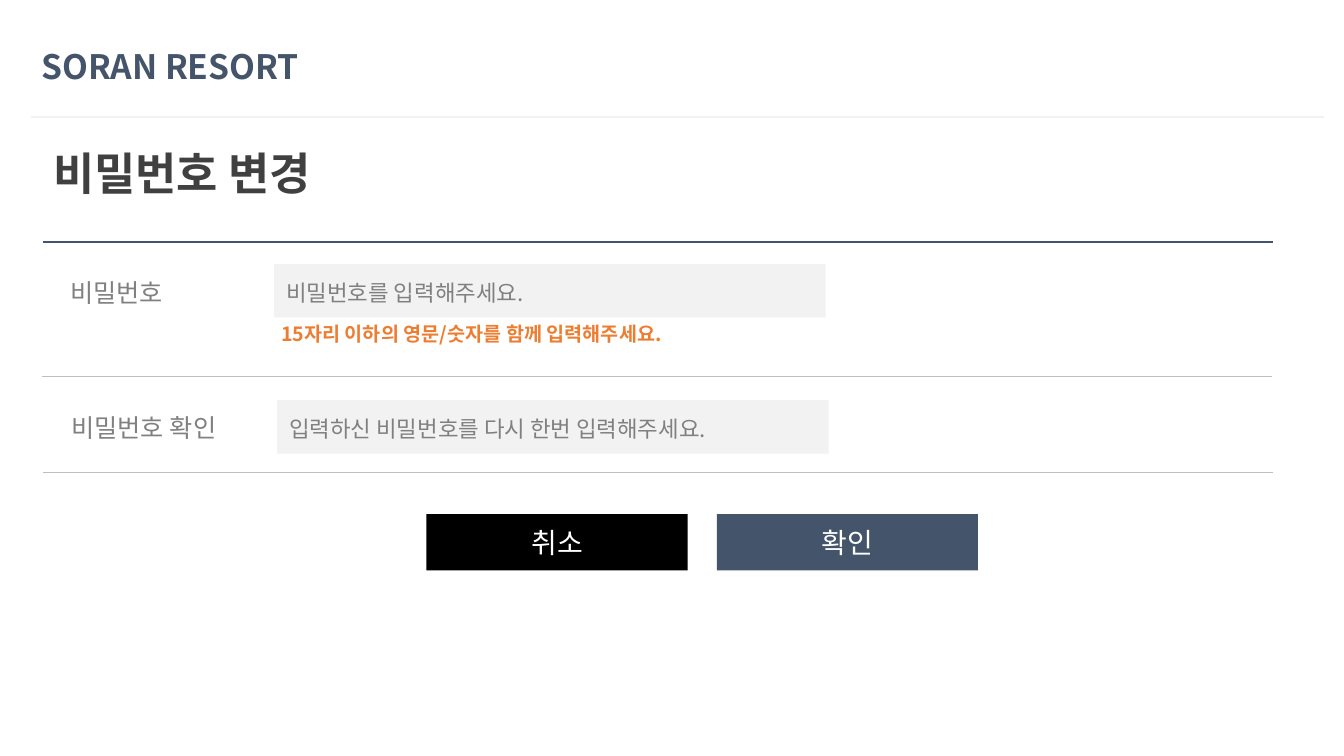
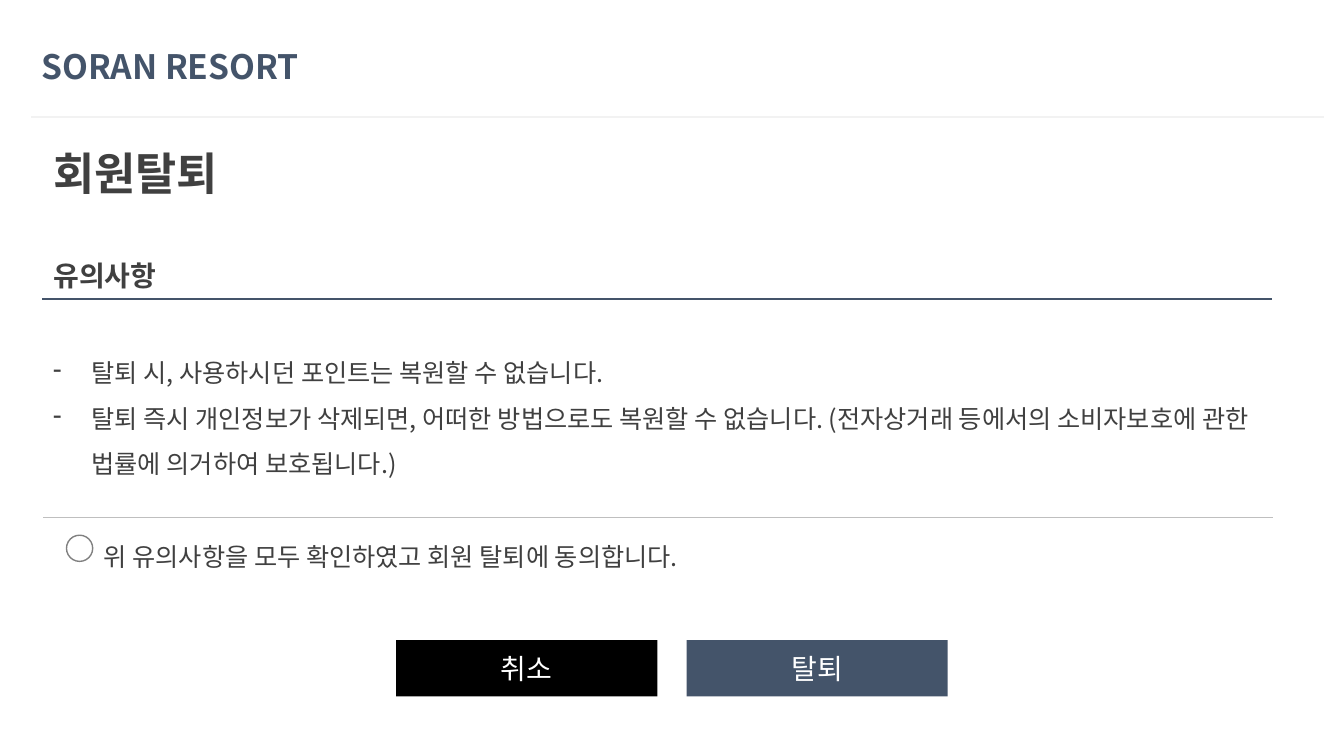
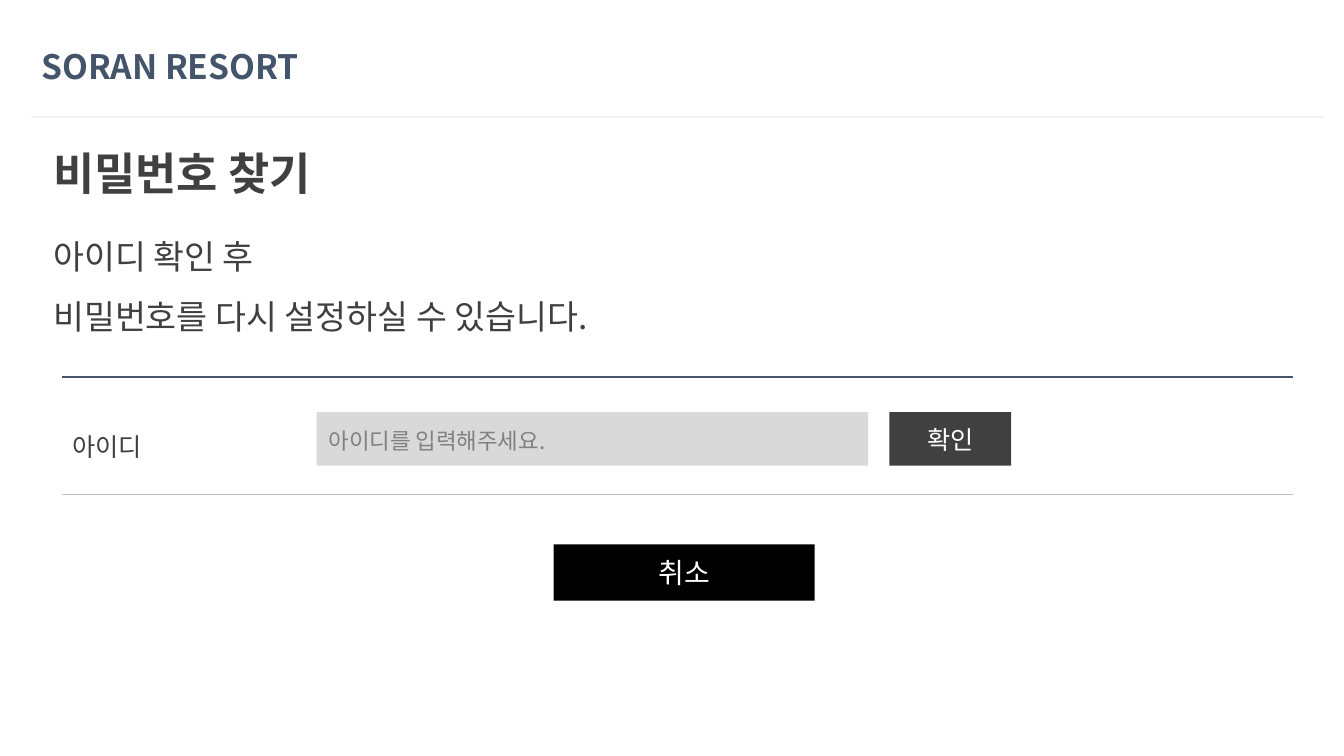
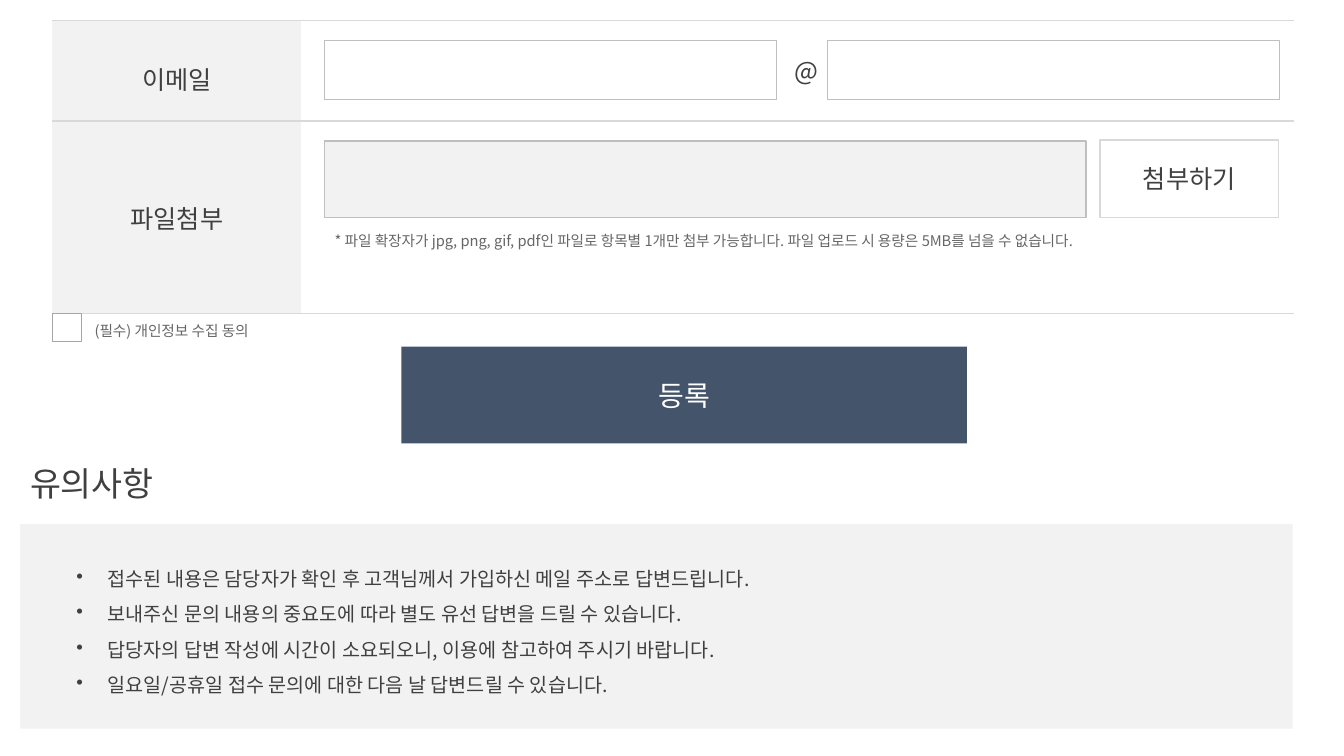
from lxml import etree
from pptx import Presentation
from pptx.dml.color import RGBColor
from pptx.enum.shapes import MSO_CONNECTOR, MSO_SHAPE
from pptx.enum.text import MSO_ANCHOR, MSO_AUTO_SIZE, PP_ALIGN
from pptx.oxml.ns import qn
from pptx.util import Inches, Pt

STRAIGHT = MSO_CONNECTOR.STRAIGHT
RECTANGLE = MSO_SHAPE.RECTANGLE
OVAL = MSO_SHAPE.OVAL
MIDDLE = MSO_ANCHOR.MIDDLE
FIT_SHAPE = MSO_AUTO_SIZE.SHAPE_TO_FIT_TEXT
CENTER = PP_ALIGN.CENTER

FONT = "Noto Sans CJK KR"
BRAND = "SORAN RESORT"
COLORS = {
    "navy": "44546A",
    "black": "000000",
    "white": "FFFFFF",
    "dark": "404040",
    "note": "666666",
    "gray": "808080",
    "check": "A6A6A6",
    "border": "BFBFBF",
    "pale": "D9D9D9",
    "light": "F2F2F2",
    "orange": "ED7D31",
}
FIELD_SIZE = (5.47, 0.53)
BUTTON_SIZE = (2.59, 0.56)
BUTTON_GAP = 0.29
RULE_WIDTH = 12.2


def color(name):
    """Return the named colour."""
    return RGBColor.from_string(COLORS[name])


def add_run(paragraph, text, size, ink, bold=False):
    """Add one styled run for Latin and Korean text."""
    run = paragraph.add_run()
    run.text = text
    run.font.size = Pt(size)
    run.font.bold = bold
    run.font.color.rgb = color(ink)
    run.font.name = FONT
    east_asian = etree.SubElement(run._r.get_or_add_rPr(), qn("a:ea"))
    east_asian.set("typeface", FONT)


def add_bullet(paragraph, character, indent):
    """Give a paragraph a hanging bullet."""
    properties = paragraph._p.get_or_add_pPr()
    properties.set("marL", str(Inches(indent)))
    properties.set("indent", str(-Inches(indent)))
    etree.SubElement(properties, qn("a:buChar")).set("char", character)


def add_text(slide, box, lines, size, ink="dark", bold=False, spacing=None, bullet=None, indent=0):
    """Place a text box with one paragraph per line."""
    frame = slide.shapes.add_textbox(*map(Inches, box)).text_frame
    frame.word_wrap = True
    frame.auto_size = FIT_SHAPE
    for index, line in enumerate(lines):
        paragraph = frame.add_paragraph() if index else frame.paragraphs[0]
        if spacing:
            paragraph.line_spacing = spacing
        if bullet:
            add_bullet(paragraph, bullet, indent)
        add_run(paragraph, line, size, ink, bold)
    return frame


def add_box(slide, box, fill, line=None, text=None, size=20, ink="white", kind=RECTANGLE):
    """Place a filled shape with an optional outline and centred label."""
    shape = slide.shapes.add_shape(kind, *map(Inches, box))
    shape.shadow.inherit = False
    shape.fill.solid()
    shape.fill.fore_color.rgb = color(fill)
    if line:
        shape.line.color.rgb = color(line)
        shape.line.width = Pt(1)
    else:
        shape.line.fill.background()
    if text:
        shape.text_frame.vertical_anchor = MIDDLE
        paragraph = shape.text_frame.paragraphs[0]
        paragraph.alignment = CENTER
        add_run(paragraph, text, size, ink)


def add_rule(slide, left, top, width=RULE_WIDTH, ink="border", weight=0.75):
    """Draw a horizontal line."""
    ends = map(Inches, (left, top, left + width, top))
    connector = slide.shapes.add_connector(STRAIGHT, *ends)
    connector.line.color.rgb = color(ink)
    connector.line.width = Pt(weight)
    etree.SubElement(connector._element.spPr, qn("a:effectLst"))


def add_heading_rule(slide, left, top):
    """Draw the strong line that opens a form."""
    add_rule(slide, left, top, ink="navy", weight=1.5)


def add_header(slide, title):
    """Place the brand, the header line and the page title."""
    add_text(slide, (0.31, 0.41, 2.85, 0.5), [BRAND], 24, "navy", True)
    add_rule(slide, 0.31, 1.16, 12.82, "light", 1.5)
    add_text(slide, (0.43, 1.4, 3.91, 0.64), [title], 32, bold=True)


def add_field(slide, left, top, prompt, fill="light"):
    """Place an input field with its prompt."""
    width, height = FIELD_SIZE
    add_box(slide, (left, top, width, height), fill)
    add_text(slide, (left + 0.02, top + 0.1, 5.01, 0.37), [prompt], 16, "gray")


def add_buttons(slide, left, top, buttons):
    """Place a row of equally spaced buttons."""
    width, height = BUTTON_SIZE
    for index, (label, fill) in enumerate(buttons):
        place = left + index * (width + BUTTON_GAP)
        add_box(slide, (place, top, width, height), fill, text=label)


def set_borders(cell):
    """Rule a cell above and below only."""
    properties = cell._tc.get_or_add_tcPr()
    for index, side in enumerate(("L", "R", "T", "B")):
        border = etree.Element(qn(f"a:ln{side}"), w=str(Pt(1)))
        if side in "TB":
            fill = etree.SubElement(border, qn("a:solidFill"))
            etree.SubElement(fill, qn("a:srgbClr")).set("val", COLORS["pale"])
        else:
            etree.SubElement(border, qn("a:noFill"))
        properties.insert(index, border)


def add_form_row(slide, top, height, label, margin_top=0.05):
    """Place a one-row table with a label cell and an empty cell."""
    widths = (2.47, 9.84)
    box = map(Inches, (0.52, top, sum(widths), height))
    table = slide.shapes.add_table(1, len(widths), *box).table
    table.first_row = False
    table.horz_banding = False
    for index, (width, fill) in enumerate(zip(widths, ("light", "white"))):
        table.columns[index].width = Inches(width)
        cell = table.cell(0, index)
        cell.fill.solid()
        cell.fill.fore_color.rgb = color(fill)
        set_borders(cell)
    cell = table.cell(0, 0)
    cell.vertical_anchor = MIDDLE
    cell.margin_top = Inches(margin_top)
    paragraph = cell.text_frame.paragraphs[0]
    paragraph.alignment = CENTER
    add_run(paragraph, label, 18, "dark")


def build_password_change(slide):
    """Build the password change page."""
    add_header(slide, "비밀번호 변경")
    add_heading_rule(slide, 0.43, 2.4)
    add_text(slide, (0.6, 2.7, 1.78, 0.4), ["비밀번호"], 18, "gray")
    add_field(slide, 2.72, 2.62, "비밀번호를 입력해주세요.")
    hint = "15자리 이하의 영문/숫자를 함께 입력해주세요."
    add_text(slide, (2.69, 3.14, 4.82, 0.34), [hint], 14, "orange", True)
    add_rule(slide, 0.42, 3.74)
    add_text(slide, (0.61, 4.04, 1.98, 0.4), ["비밀번호 확인"], 18, "gray")
    add_field(slide, 2.75, 3.97, "입력하신 비밀번호를 다시 한번 입력해주세요.")
    add_rule(slide, 0.43, 4.69)
    add_buttons(slide, 4.23, 5.1, [("취소", "black"), ("확인", "navy")])


def build_withdrawal(slide):
    """Build the membership withdrawal page."""
    add_header(slide, "회원탈퇴")
    frame = add_text(slide, (0.43, 2.35, 12.4, 2.47), ["유의사항"], 20, bold=True, spacing=1.5)
    cautions = [
        "탈퇴 시, 사용하시던 포인트는 복원할 수 없습니다.",
        "탈퇴 즉시 개인정보가 삭제되면, 어떠한 방법으로도 복원할 수 없습니다. "
        "(전자상거래 등에서의 소비자보호에 관한 법률에 의거하여 보호됩니다.)",
    ]
    for index, caution in enumerate(cautions):
        paragraph = frame.add_paragraph()
        paragraph.line_spacing = 1.5
        paragraph.space_before = Pt(0 if index else 36)
        add_bullet(paragraph, "-", 0.38)
        add_run(paragraph, caution, 18, "dark")
    add_heading_rule(slide, 0.42, 2.97)
    add_rule(slide, 0.43, 5.13)
    agreement = "위 유의사항을 모두 확인하였고 회원 탈퇴에 동의합니다."
    add_text(slide, (0.93, 5.17, 12.4, 0.5), [agreement], 18, spacing=1.5)
    add_box(slide, (0.66, 5.31, 0.26, 0.26), "white", "gray", kind=OVAL)
    add_buttons(slide, 3.93, 6.35, [("취소", "black"), ("탈퇴", "navy")])


def build_password_search(slide):
    """Build the password recovery page."""
    add_header(slide, "비밀번호 찾기")
    guide = ["아이디 확인 후", "비밀번호를 다시 설정하실 수 있습니다."]
    add_text(slide, (0.43, 2.09, 7.54, 1.23), guide, 24, spacing=1.5)
    add_heading_rule(slide, 0.62, 3.74)
    add_text(slide, (0.62, 4.08, 1.25, 0.5), ["아이디"], 18, spacing=1.5)
    add_field(slide, 3.14, 4.09, "아이디를 입력해주세요.", "pale")
    add_box(slide, (8.82, 4.09, 1.21, 0.53), "dark", text="확인", size=18)
    add_rule(slide, 0.62, 4.91)
    add_buttons(slide, 5.49, 5.4, [("취소", "black")])


def build_inquiry(slide):
    """Build the lower part of the inquiry form."""
    add_form_row(slide, 0.2, 1, "이메일", 0.21)
    add_form_row(slide, 1.2, 1.91, "파일첨부")
    for left in (3.22, 8.21):
        add_box(slide, (left, 0.4, 4.48, 0.59), "white", "border")
    add_text(slide, (7.78, 0.5, 0.34, 0.4), ["@"], 18)
    add_box(slide, (3.22, 1.4, 7.55, 0.76), "light", "border")
    add_box(slide, (10.91, 1.39, 1.77, 0.77), "white", "pale", "첨부하기", 18, "dark")
    file_note = (
        "* 파일 확장자가 jpg, png, gif, pdf인 파일로 항목별 1개만 첨부 가능합니다. "
        "파일 업로드 시 용량은 5MB를 넘을 수 없습니다."
    )
    add_text(slide, (3.22, 2.25, 9.81, 0.28), [file_note], 10.5, "note")
    add_box(slide, (0.52, 3.11, 0.29, 0.28), "white", "check")
    add_text(slide, (0.84, 3.14, 1.97, 0.28), ["(필수) 개인정보 수집 동의"], 10.5, "note")
    add_box(slide, (3.98, 3.44, 5.61, 0.96), "navy", text="등록")
    add_text(slide, (0.2, 4.54, 3.91, 0.5), ["유의사항"], 24)
    add_box(slide, (0.2, 5.2, 12.62, 2.03), "light")
    cautions = [
        "접수된 내용은 담당자가 확인 후 고객님께서 가입하신 메일 주소로 답변드립니다.",
        "보내주신 문의 내용의 중요도에 따라 별도 유선 답변을 드릴 수 있습니다.",
        "답당자의 답변 작성에 시간이 소요되오니, 이용에 참고하여 주시기 바랍니다.",
        "일요일/공휴일 접수 문의에 대한 다음 날 답변드릴 수 있습니다.",
    ]
    box = (0.66, 5.46, 11.75, 1.51)
    add_text(slide, box, cautions, 14, spacing=1.5, bullet="•", indent=0.31)


def main():
    """Build and save the presentation."""
    presentation = Presentation()
    presentation.slide_width = Inches(13.33)
    presentation.slide_height = Inches(7.5)
    blank = presentation.slide_layouts[6]
    for build in (build_password_change, build_withdrawal, build_password_search, build_inquiry):
        build(presentation.slides.add_slide(blank))
    presentation.save("out.pptx")


if __name__ == "__main__":
    main()
